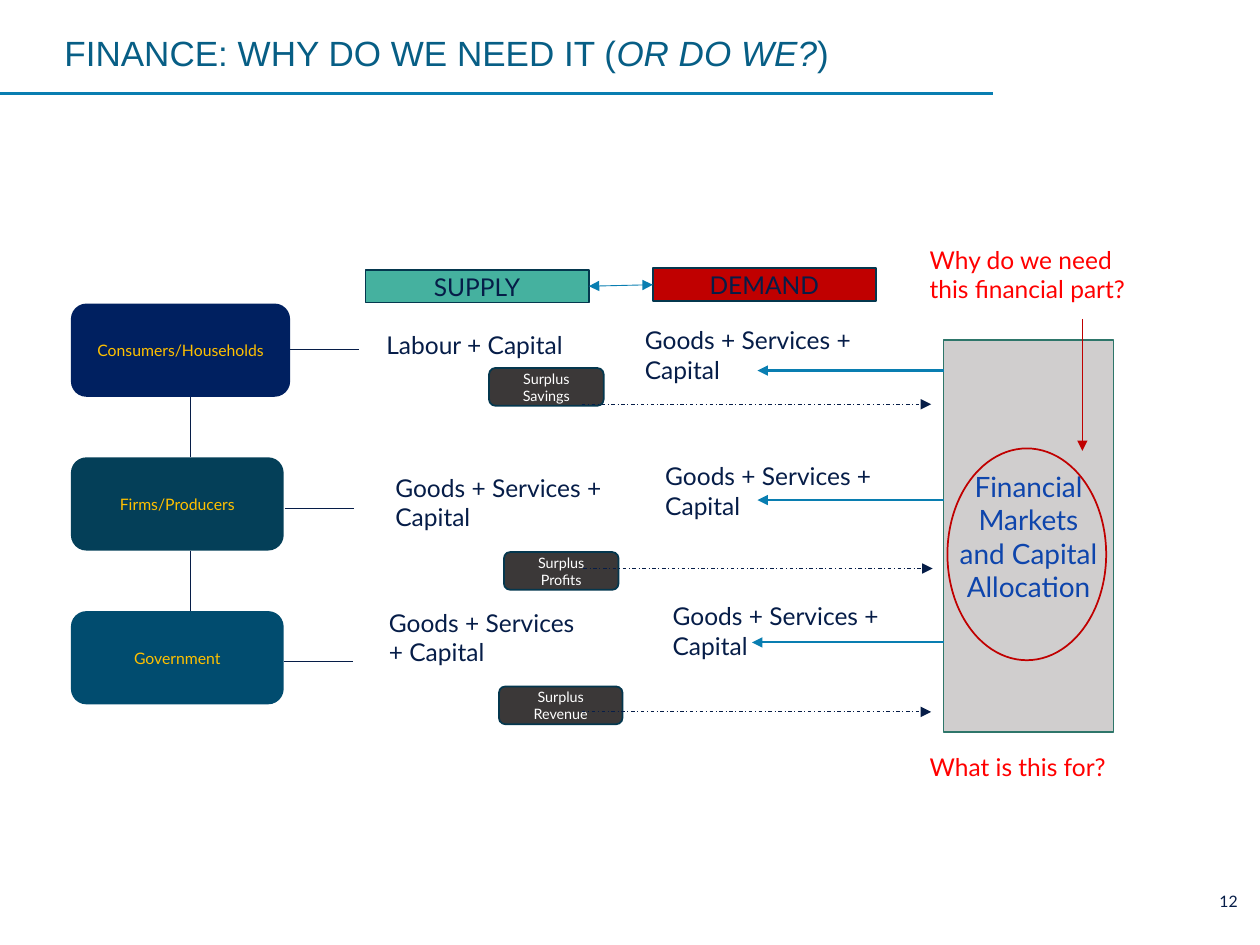
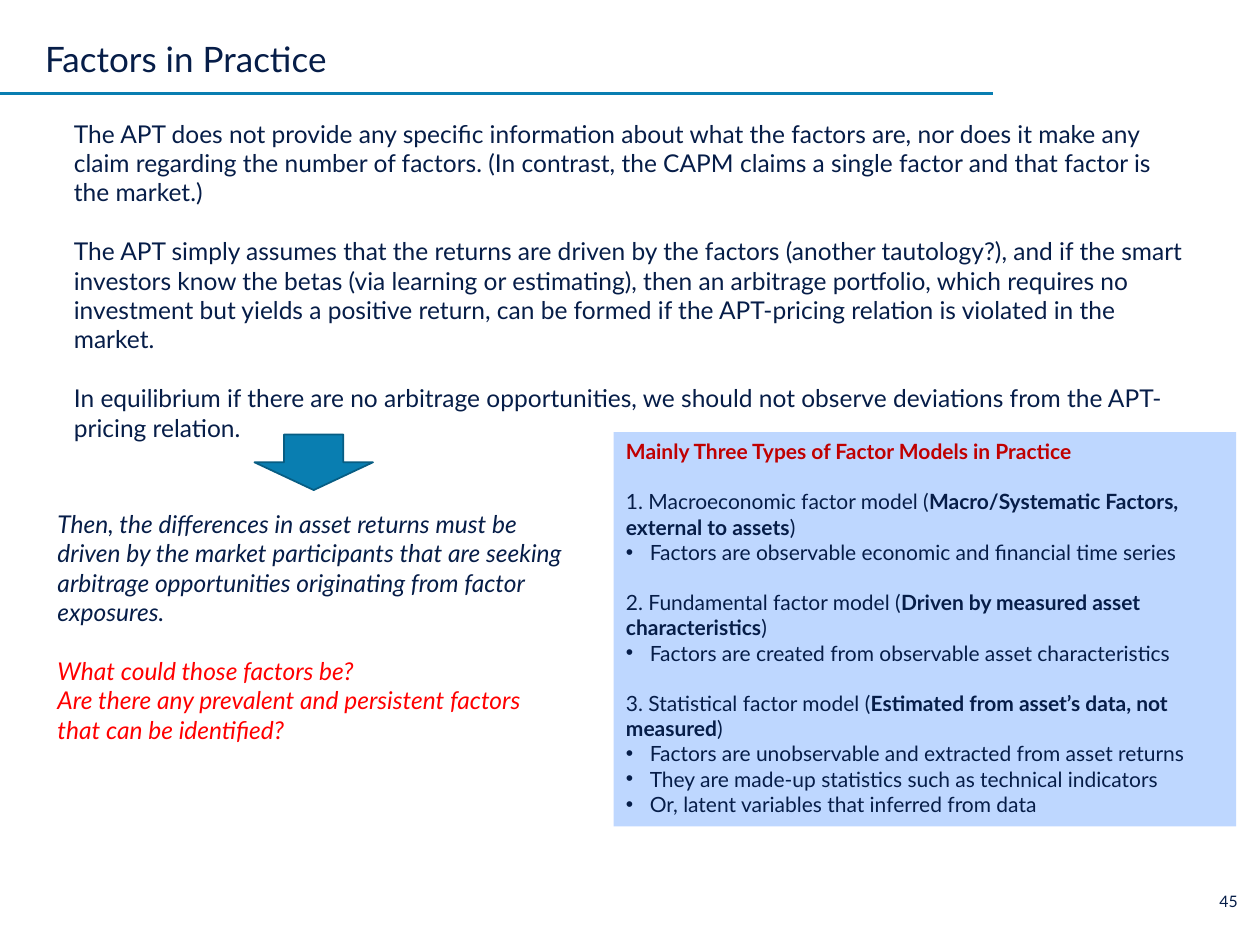
from lxml import etree
from pptx import Presentation
from pptx import util as u
from pptx.dml.color import RGBColor
from pptx.enum import dml, shapes, text
from pptx.oxml.ns import qn

# Shared look
NAVY, BLUE, RED, DARK_RED, GOLD = "061D48", "097EB1", "FF0000", "C00000", "FFC000"
OUTLINE = "04374E"
FONT = "Lato"
PRESET = shapes.MSO_SHAPE
MIDDLE, TOP, BOTTOM = text.MSO_ANCHOR.MIDDLE, text.MSO_ANCHOR.TOP, text.MSO_ANCHOR.BOTTOM
CENTER, LEFT, RIGHT = text.PP_ALIGN.CENTER, text.PP_ALIGN.LEFT, text.PP_ALIGN.RIGHT

# Content: the economy diagram (lengths in cm)
FINANCE_TITLE = [("FINANCE: WHY DO WE NEED IT (", ""), ("OR DO WE?", "i"), (")", "")]
GOODS = "Goods + Services + Capital"
ACTOR_TOP, ACTOR_PITCH, ACTOR_HEIGHT, ACTOR_LEFT = 6.12, 3.1, 1.88, 1.43
ACTORS = [  # name, width, fill, link start, link height
    ("Consumers/Households", 4.42, "002060", 5.84, 7.04),
    ("Firms/Producers", 4.29, "043F58", 5.74, 10.24),
    ("Government", 4.29, "014C6F", 5.72, 13.34),
]
HEADERS = [("SUPPLY", 7.37, 5.44, "45B19F"), ("DEMAND", 13.16, 5.41, DARK_RED)]
SUPPLIES = [
    ("Labour + Capital", (7.54, 6.53, 4.22, 0.86)),
    (GOODS, (7.72, 9.4, 4.85, 1.45)),
    (GOODS, (7.59, 12.12, 4.5, 1.45)),
]
SURPLUSES = [  # name, left, top, width, flow start, flow height
    ("Surplus Savings", 9.86, 7.42, 2.31, 11.73, 8.15),
    ("Surplus Profits", 10.16, 11.13, 2.31, 11.76, 11.46),
    ("Surplus Revenue", 10.06, 13.84, 2.49, 11.73, 14.35),
]
FLOW_LENGTH = 7.04
MARKET = (19.02, 6.86, 3.43, 7.9)
DEMANDS = [  # left, top, width, arrow tip, arrow height
    (12.75, 6.43, 5.21, 15.27, 7.47),
    (13.16, 9.17, 4.85, 15.27, 10.08),
    (13.31, 11.99, 4.85, 15.16, 12.95),
]
QUESTIONS = [
    ("Why do we need this financial part?", (18.49, 4.8, 4.9, 1.45)),
    ("What is this for?", (18.49, 15.04, 4.9, 0.86)),
]

# Content: factors; each paragraph is (runs, options)
GAP, BULLET = {"gap": True}, {"bullet": True}
APT = [
    ("The APT does not provide any specific information about what the factors are, nor does "
     "it make any claim regarding the number of factors. (In contrast, the CAPM claims a "
     "single factor and that factor is the market.)", {}),
    ("The APT simply assumes that the returns are driven by the factors (another tautology?), "
     "and if the smart investors know the betas (via learning or estimating), then an "
     "arbitrage portfolio, which requires no investment but yields a positive return, can be "
     "formed if the APT-pricing relation is violated in the market.", GAP),
    ("In equilibrium if there are no arbitrage opportunities, we should not observe "
     "deviations from the APT-pricing relation.", GAP),
]
CONSEQUENCE = [
    ([("Then, the differences in asset returns must be driven by the market participants that "
       "are seeking arbitrage opportunities originating from factor exposures.", "i")], {}),
    ([("What could those factors be?", "i")], {"gap": True, "color": RED}),
    ([("Are there any prevalent and persistent factors that can be identified?", "i")],
     {"color": RED}),
]
MODELS_HEADING = "Mainly Three Types of Factor Models in Practice"
MODELS = [
    ("Macroeconomic", "Macro/Systematic Factors, external to assets",
     ["Factors are observable economic and financial time series"]),
    ("Fundamental", "Driven by measured asset characteristics",
     ["Factors are created from observable asset characteristics"]),
    ("Statistical", "Estimated from asset’s data, not measured",
     ["Factors are unobservable and extracted from asset returns",
      "They are made-up statistics such as technical indicators",
      "Or, latent variables that inferred from data"]),
]


def rgb(color):
    return RGBColor.from_string(color)


def write(shape, paragraphs, size=14, color=NAVY, align=LEFT, anchor=TOP,
          font=FONT, insets=(0.25, 0.13), spacing=None):
    """Fill a shape with a string or with (runs, options) paragraphs."""
    if isinstance(paragraphs, str):
        paragraphs = [(paragraphs, {})]
    frame = shape.text_frame
    frame.word_wrap = True
    frame.vertical_anchor = anchor
    frame.margin_left = frame.margin_right = u.Cm(insets[0])
    frame.margin_top = frame.margin_bottom = u.Cm(insets[1])
    for index, (runs, options) in enumerate(paragraphs):
        paragraph = frame.add_paragraph() if index else frame.paragraphs[0]
        paragraph.alignment = align
        if spacing:
            paragraph.line_spacing = spacing
        if options.get("gap"):
            paragraph.space_before = u.Pt(size * 1.2)
        if options.get("bullet"):
            properties = paragraph._p.get_or_add_pPr()
            properties.set("marL", str(u.Cm(0.48)))
            properties.set("indent", str(u.Cm(-0.48)))
            etree.SubElement(properties, qn("a:buFont"), typeface="Arial")
            etree.SubElement(properties, qn("a:buChar"), char="•")
        for words, style in [(runs, "")] if isinstance(runs, str) else runs:
            run = paragraph.add_run()
            run.text = words
            run.font.name, run.font.size = font, u.Pt(size)
            run.font.bold, run.font.italic = "b" in style, "i" in style
            run.font.color.rgb = rgb(options.get("color", color))


def add_text(slide, box, paragraphs, **style):
    write(slide.shapes.add_textbox(*map(u.Cm, box)), paragraphs, **style)


def add_box(slide, preset, box, fill=None, outline=None):
    shape = slide.shapes.add_shape(preset, *map(u.Cm, box))
    shape.shadow.inherit = False
    if fill:
        shape.fill.solid()
        shape.fill.fore_color.rgb = rgb(fill)
    else:
        shape.fill.background()
    if outline:
        shape.line.color.rgb = rgb(outline)
        shape.line.width = u.Pt(1)
    else:
        shape.line.fill.background()
    return shape


def add_line(slide, start, end, color=NAVY, width=0.5, dash=None, arrows=()):
    line = slide.shapes.add_connector(shapes.MSO_CONNECTOR.STRAIGHT,
                                      *map(u.Cm, (*start, *end)))
    line.line.color.rgb = rgb(color)
    line.line.width = u.Pt(width)
    if dash:
        line.line.dash_style = dash
    for arrow in arrows:
        etree.SubElement(line.line._get_or_add_ln(), qn(f"a:{arrow}End"), type="triangle")
    etree.SubElement(line._element.spPr, qn("a:effectLst"))


def add_slide(presentation, number):
    slide = presentation.slides.add_slide(presentation.slide_layouts[6])
    add_line(slide, (0, 1.88), (20.02, 1.88), BLUE, 1.5)
    add_text(slide, (24.16, 17.98, 0.79, 0.38), number, size=9, align=RIGHT, insets=(0, 0))
    return slide


def build_finance(presentation):
    slide = add_slide(presentation, "12")
    add_text(slide, (1.12, 0.3, 16.99, 1.63), [(FINANCE_TITLE, {})], size=20, color="075E85",
             font="Arial", anchor=MIDDLE, insets=(0.18, 0.1), spacing=0.9)

    # Actors, joined downwards and linked to what they supply
    for index, (name, width, fill, link_left, link_y) in enumerate(ACTORS):
        top = ACTOR_TOP + index * ACTOR_PITCH
        actor = add_box(slide, PRESET.FLOWCHART_ALTERNATE_PROCESS,
                        (ACTOR_LEFT, top, width, ACTOR_HEIGHT), fill)
        write(actor, name, size=9, color=GOLD, align=CENTER, anchor=MIDDLE)
        add_line(slide, (link_left, link_y), (link_left + 1.4, link_y))
        if index:
            add_line(slide, (3.84, top - ACTOR_PITCH + ACTOR_HEIGHT), (3.84, top))

    # Supply and demand headers
    for name, left, top, fill in HEADERS:
        header = add_box(slide, PRESET.RECTANGLE, (left, top, 4.5, 0.66), fill, OUTLINE)
        write(header, name, align=CENTER, anchor=MIDDLE)
    add_line(slide, (11.87, 5.77), (13.16, 5.74), BLUE, arrows=("head", "tail"))

    # Supplies and the surpluses that flow to the market
    for name, box in SUPPLIES:
        add_text(slide, box, name)
    for name, left, top, width, flow_left, flow_y in SURPLUSES:
        surplus = add_box(slide, PRESET.ROUNDED_RECTANGLE, (left, top, width, 0.76),
                          "3B3838", OUTLINE)
        write(surplus, name, size=8.2, color="FFFFFF", align=CENTER, anchor=MIDDLE)
        add_line(slide, (flow_left, flow_y), (flow_left + FLOW_LENGTH, flow_y),
                 dash=dml.MSO_LINE.DASH_DOT, arrows=("tail",))

    # Financial market and the demand it feeds
    market = add_box(slide, PRESET.RECTANGLE, MARKET, "D0CECE", "2E766A")
    write(market, "Financial Markets and Capital Allocation", size=16, color="0E45AC",
          align=CENTER, anchor=MIDDLE)
    for left, top, width, tip, arrow_y in DEMANDS:
        add_line(slide, (MARKET[0], arrow_y), (tip, arrow_y), BLUE, 1.25, arrows=("tail",))
        add_text(slide, (left, top, width, 1.45), GOODS)

    # Questions about the market
    for question, box in QUESTIONS:
        add_text(slide, box, question, color=RED)
    add_box(slide, PRESET.OVAL, (19.1, 9.04, 3.2, 4.27), outline=DARK_RED)
    add_line(slide, (21.82, 6.43), (21.82, 9.09), DARK_RED, arrows=("tail",))


def build_factors(presentation):
    slide = add_slide(presentation, "45")
    add_text(slide, (0.91, 0.25, 18.14, 1.37), "Factors in Practice", size=20,
             anchor=BOTTOM, insets=(0, 0), spacing=0.9)

    # Panel of factor models
    models = [([(MODELS_HEADING, "b")], {"color": DARK_RED})]
    for number, (kind, meaning, points) in enumerate(MODELS, 1):
        models.append(([(f"{number}. {kind} factor model (", ""), (meaning, "b"), (")", "")],
                       GAP))
        models += [(point, BULLET) for point in points]
    panel = add_box(slide, PRESET.RECTANGLE, (12.37, 8.71, 12.55, 7.95), "BED7FF")
    write(panel, models, size=12)

    # Argument and its consequence
    add_text(slide, (1.24, 2.26, 22.91, 6.83), APT)
    add_box(slide, PRESET.DOWN_ARROW, (5.13, 8.76, 2.39, 1.12), BLUE, "075D83")
    add_text(slide, (0.91, 10.13, 10.82, 5.05), CONSEQUENCE)


def main():
    presentation = Presentation()
    presentation.slide_width, presentation.slide_height = u.Cm(25.4), u.Cm(19.05)
    build_finance(presentation)
    build_factors(presentation)
    presentation.save("out.pptx")


if __name__ == "__main__":
    main()
